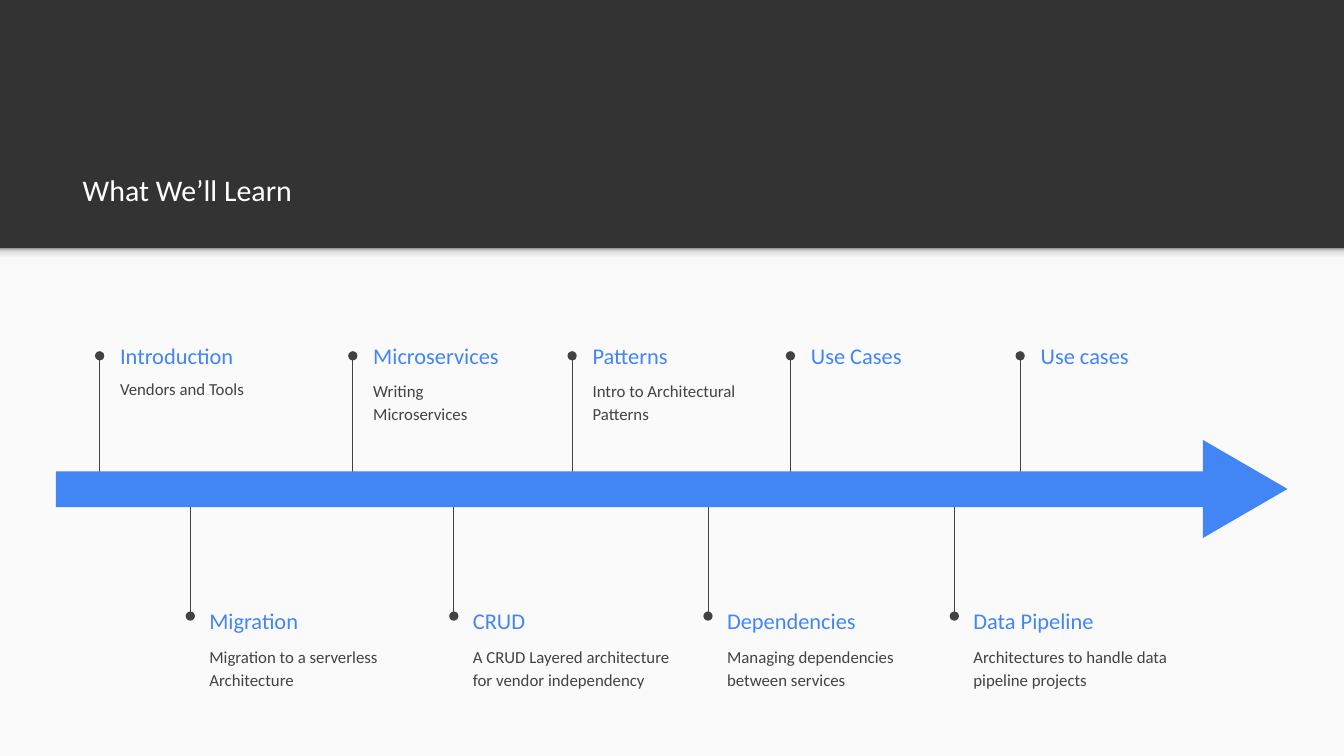
from lxml import etree
from pptx import Presentation
from pptx.dml.color import RGBColor as Rgb
from pptx.enum.shapes import MSO_CONNECTOR as Line, MSO_SHAPE as Kind
from pptx.enum.text import MSO_ANCHOR as Anchor
from pptx.oxml.ns import qn
from pptx.util import Pt

TITLE = "What We’ll Learn"
# stem x, heading width, heading, note width, note
ABOVE = [
    (106.7, 285.8, "Introduction", 179.3, "Vendors and Tools"),
    (377.8, 285.8, "Microservices", 179.3, "Writing Microservices"),
    (612.7, 285.8, "Patterns", 205.2, "Intro to Architectural Patterns"),
    (846.5, 179.3, "Use Cases", 0, ""),
    (1092.5, 179.3, "Use cases", 0, ""),
]
BELOW = [
    (203.8, 285.8, "Migration", 245.5, "Migration to a serverless Architecture"),
    (486, 285.8, "CRUD", 253.4, "A CRUD Layered architecture for vendor independency"),
    (758.2, 285.8, "Dependencies", 245.5, "Managing dependencies between services"),
    (1022, 285.8, "Data Pipeline", 245.5, "Architectures to handle data pipeline projects"),
]
# items, gap from stem to text, stem ends, heading top and height, note top and height
ROWS = [
    (ABOVE, 7.5, 515.5, 380.9, 362.9, 34.6, 389.5, 51.1),
    (BELOW, 6, 519.1, 659.5, 633.8, 61.9, 674.6, 68.4),
]
HEX = {"dark": "333333", "pale": "FAFAFA", "blue": "4285F4",
       "gray": "424242", "white": "FFFFFF"}
SHADE = [(0, "F9F9F9"), (36, "F9F9F9"), (80, "DEDEDE"), (100, "999999")]
WIDE, HIGH, EDGE = 1439.28, 809.28, 265.7
FONT, INSET = "Calibri", 14.4

deck = Presentation()
deck.slide_width, deck.slide_height = Pt(WIDE), Pt(HIGH)
slide = deck.slides.add_slide(deck.slide_layouts[6])
back = slide.background.fill
back.solid()
back.fore_color.rgb = Rgb.from_string(HEX["dark"])


def add_block(kind, x, y, w, h, color):
    block = slide.shapes.add_shape(kind, Pt(x), Pt(y), Pt(w), Pt(h))
    block.shadow.inherit = False
    block.fill.solid()
    block.fill.fore_color.rgb = Rgb.from_string(HEX[color])
    block.line.fill.background()
    return block


def add_shade():
    """Draw the soft shadow under the dark header."""
    band = add_block(Kind.RECTANGLE, 0, EDGE, WIDE, 17.3, "pale")
    band.fill.gradient()
    band.fill.gradient_angle = 90
    stops = band._element.spPr.find(".//" + qn("a:gsLst"))
    for old in list(stops):
        stops.remove(old)
    for spot, color in SHADE:
        stop = etree.SubElement(stops, qn("a:gs"), pos=str(spot * 1000))
        etree.SubElement(stop, qn("a:srgbClr"), val=color)


def add_text(text, x, y, w, h, size, color, anchor):
    frame = slide.shapes.add_textbox(Pt(x), Pt(y), Pt(w), Pt(h)).text_frame
    frame.word_wrap = True
    frame.vertical_anchor = anchor
    frame.margin_left = frame.margin_right = Pt(INSET)
    frame.margin_top = frame.margin_bottom = Pt(INSET)
    para = frame.paragraphs[0]
    para.text = text
    para.font.name, para.font.size = FONT, Pt(size)
    para.font.color.rgb = Rgb.from_string(HEX[color])
    return para


def add_stem(x, start, end):
    """Draw a thin line from the arrow out to a round dot."""
    stem = slide.shapes.add_connector(Line.STRAIGHT, Pt(x), Pt(start), Pt(x), Pt(end))
    stem.line.width = Pt(0.75)
    stem.line.color.rgb = Rgb.from_string(HEX["gray"])
    props = stem._element.spPr
    etree.SubElement(props.find(qn("a:ln")), qn("a:tailEnd"),
                     type="oval", w="lg", len="lg")
    etree.SubElement(props, qn("a:effectLst"))


add_block(Kind.RECTANGLE, 0, EDGE, WIDE, HIGH - EDGE, "pale")
add_shade()
add_text(TITLE, 74.2, 115.9, 1294.6, 121, 32, "white", Anchor.BOTTOM)

for items, gap, start, end, head_y, head_h, note_y, note_h in ROWS:
    for x, head_w, head, note_w, note in items:
        add_stem(x, start, end)
        add_text(head, x + gap, head_y, head_w, head_h, 24, "blue", Anchor.MIDDLE)
        if note:
            para = add_text(note, x + gap, note_y, note_w, note_h, 18, "gray", Anchor.TOP)
            para.line_spacing = 1.15
            para.space_after = Pt(16)

tip = add_block(Kind.ISOSCELES_TRIANGLE, 1280.9, 478.1, 105.1, 90.7, "blue")
tip.rotation = 90
add_block(Kind.RECTANGLE, 59.8, 504.7, 1244.9, 38.2, "blue")

deck.save("out.pptx")
